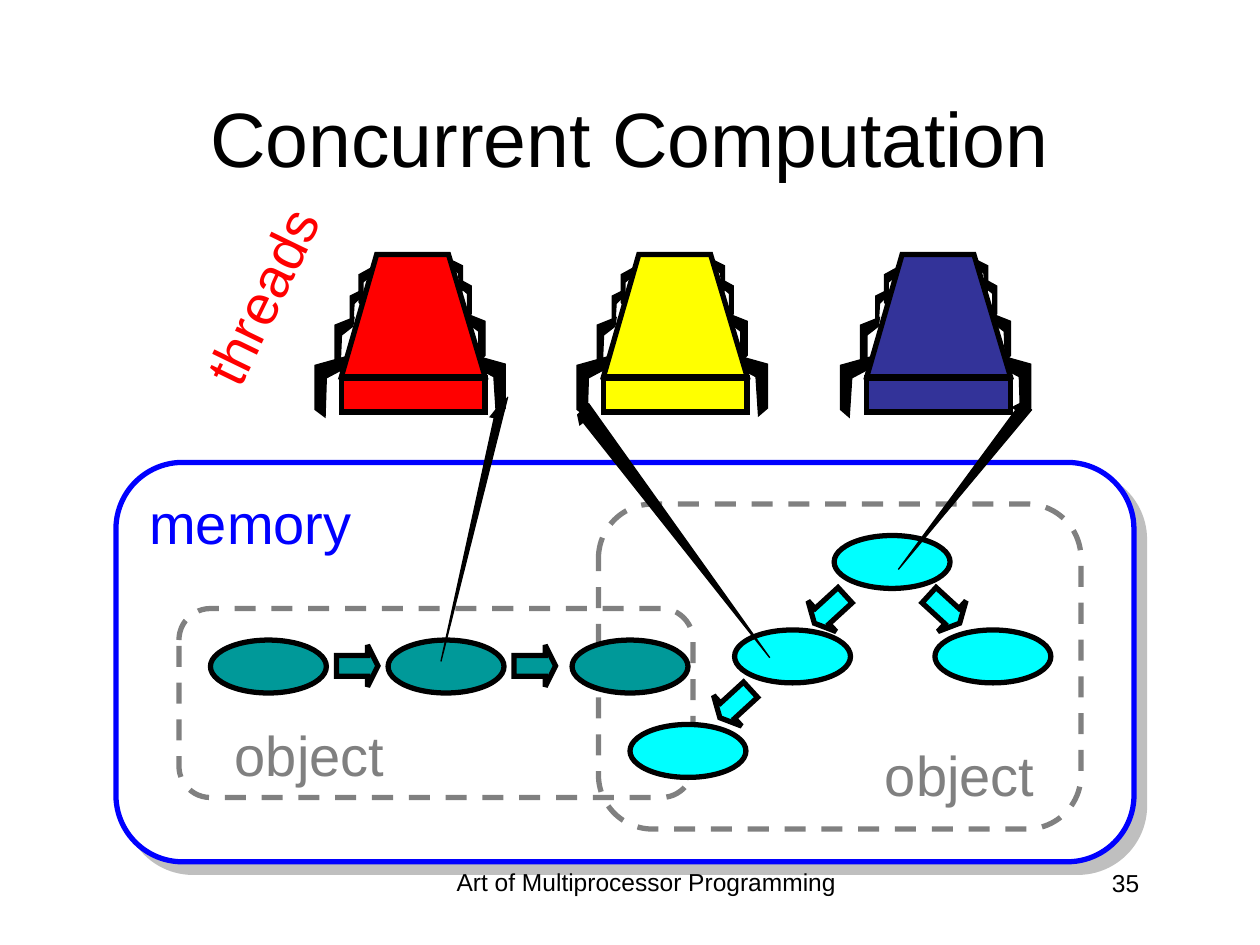
"""Build the Concurrent Computation slide."""
from lxml import etree
from pptx import Presentation
from pptx.dml.color import RGBColor
from pptx.enum.dml import MSO_LINE
from pptx.enum.shapes import MSO_SHAPE
from pptx.enum.text import MSO_ANCHOR, PP_ALIGN
from pptx.oxml.ns import qn
from pptx.util import Pt

PX = 9144
ROUND, OVAL = MSO_SHAPE.ROUNDED_RECTANGLE, MSO_SHAPE.OVAL
RECT, ARROW = MSO_SHAPE.RECTANGLE, MSO_SHAPE.RIGHT_ARROW
DASH = MSO_LINE.DASH
LEFT, RIGHT, CENTER = PP_ALIGN.LEFT, PP_ALIGN.RIGHT, PP_ALIGN.CENTER
BLACK = RGBColor(0, 0, 0)
WHITE = RGBColor(255, 255, 255)
RED = RGBColor(255, 0, 0)
YELLOW = RGBColor(255, 255, 0)
NAVY = RGBColor(0x33, 0x33, 0x99)
BLUE = RGBColor(0, 0, 255)
GRAY = RGBColor(0x80, 0x80, 0x80)
TEAL = RGBColor(0, 0x99, 0x99)
CYAN = RGBColor(0, 255, 255)

prs = Presentation()
prs.slide_width, prs.slide_height = 1000 * PX, 750 * PX
slide = prs.slides.add_slide(prs.slide_layouts[5])
shapes = slide.shapes


def paint(shape, fill, line=BLACK, width=3):
    shape.shadow.inherit = False
    if fill is None:
        shape.fill.background()
    else:
        shape.fill.solid()
        shape.fill.fore_color.rgb = fill
    shape.line.color.rgb = line
    shape.line.width = Pt(width)
    edge = shape._element.spPr.find(qn("a:ln"))
    etree.SubElement(edge, qn("a:miter"), lim="800000")
    return edge


def trace(points, close=True):
    pen = shapes.build_freeform(*points[0], scale=PX)
    pen.add_line_segments(points[1:], close=close)
    return pen.convert_to_shape()


title = shapes.title
title.left, title.top, title.width, title.height = 75 * PX, 46 * PX, 850 * PX, 125 * PX
title.text_frame.text = "Concurrent Computation"
title.text_frame.vertical_anchor = MSO_ANCHOR.MIDDLE
head = title.text_frame.paragraphs[0]
head.alignment = CENTER
font = head.runs[0].font
font.name, font.size, font.color.rgb = "Arial", Pt(44), BLACK

memory = shapes.add_shape(ROUND, 92 * PX, 367 * PX, 808 * PX, 317 * PX)
paint(memory, WHITE, BLUE)
effect = memory._element.spPr.find(qn("a:effectLst"))
shade = etree.SubElement(effect, qn("a:outerShdw"), dist="107950", dir="2700000",
                         algn="ctr", rotWithShape="0")
tone = etree.SubElement(shade, qn("a:srgbClr"), val="808080")
etree.SubElement(tone, qn("a:alpha"), val="50000")

for x, y, w, h in [(142, 483, 408, 150), (475, 400, 383, 258)]:
    box = shapes.add_shape(ROUND, x * PX, y * PX, w * PX, h * PX)
    paint(box, None, GRAY)
    box.line.dash_style = DASH

LEG = [(0, 0), (1, 0.15), (1, 0.87), (0.7, 1), (0.64, 0.36), (0.05, 0.19)]
LEGS = [(105, 282, 25, 48), (99, 249, 15, 38), (94, 222, 9, 31), (88, 207, 8, 27),
        (4, 283, -25, 48), (10, 252, -15, 38), (23, 213, -9, 31), (15, 231, -8, 27)]
for left, color in [(271, RED), (479, YELLOW), (688, NAVY)]:
    for x, y, w, h in LEGS:
        leg = trace([(round(left + x + u * w), round(y + v * h)) for u, v in LEG])
        paint(leg, BLACK, width=0.75)
    back = trace([(left, 299), (left + 28, 202), (left + 85, 202), (left + 114, 299)])
    paint(back, color)
    front = shapes.add_shape(RECT, left * PX, 300 * PX, 114 * PX, 27 * PX)
    paint(front, color)

for x, y, color in [(167, 508, TEAL), (308, 508, TEAL), (454, 508, TEAL),
                    (662, 425, CYAN), (583, 500, CYAN), (742, 500, CYAN),
                    (500, 575, CYAN)]:
    node = shapes.add_shape(OVAL, x * PX, y * PX, 92 * PX, 42 * PX)
    paint(node, color)

for x, y, turn, color in [(267, 512, 0, TEAL), (408, 512, 0, TEAL),
                          (733, 467, 42.5, CYAN), (642, 467, 137.5, CYAN),
                          (567, 542, 137.5, CYAN)]:
    arrow = shapes.add_shape(ARROW, x * PX, y * PX, 33 * PX, 33 * PX)
    arrow.adjustments[0], arrow.adjustments[1] = 0.5, 0.25
    arrow.rotation = turn
    paint(arrow, color)

for points in [[(403, 315), (350, 525), (394, 324)],
               [(467, 320), (611, 522), (458, 329)],
               [(819, 325), (713, 452), (811, 319)]]:
    edge = paint(trace(points, False), BLACK, width=0.75)
    etree.SubElement(edge, qn("a:tailEnd"), type="triangle")

for text, x, y, w, h, turn, size, color, align, wrap in [
    ("memory", 108, 383, 181, 63, 0, 32, BLUE, RIGHT, False),
    ("object", 175, 567, 140, 64, 0, 32, GRAY, RIGHT, False),
    ("object", 691, 583, 140, 64, 0, 32, GRAY, RIGHT, False),
    ("threads", 123, 203, 169, 64, 295.9, 32, RED, RIGHT, False),
    ("Art of Multiprocessor Programming", 342, 683, 342, 52, 0, 14, BLACK, CENTER, True),
    ("35", 706, 684, 208, 50, 0, 14, BLACK, RIGHT, True),
]:
    label = shapes.add_textbox(x * PX, y * PX, w * PX, h * PX)
    label.rotation = turn
    frame = label.text_frame
    frame.word_wrap = wrap
    frame.text = text
    line = frame.paragraphs[0]
    line.alignment = align
    font = line.runs[0].font
    font.name, font.size, font.color.rgb = "Arial", Pt(size), color

prs.save("out.pptx")
